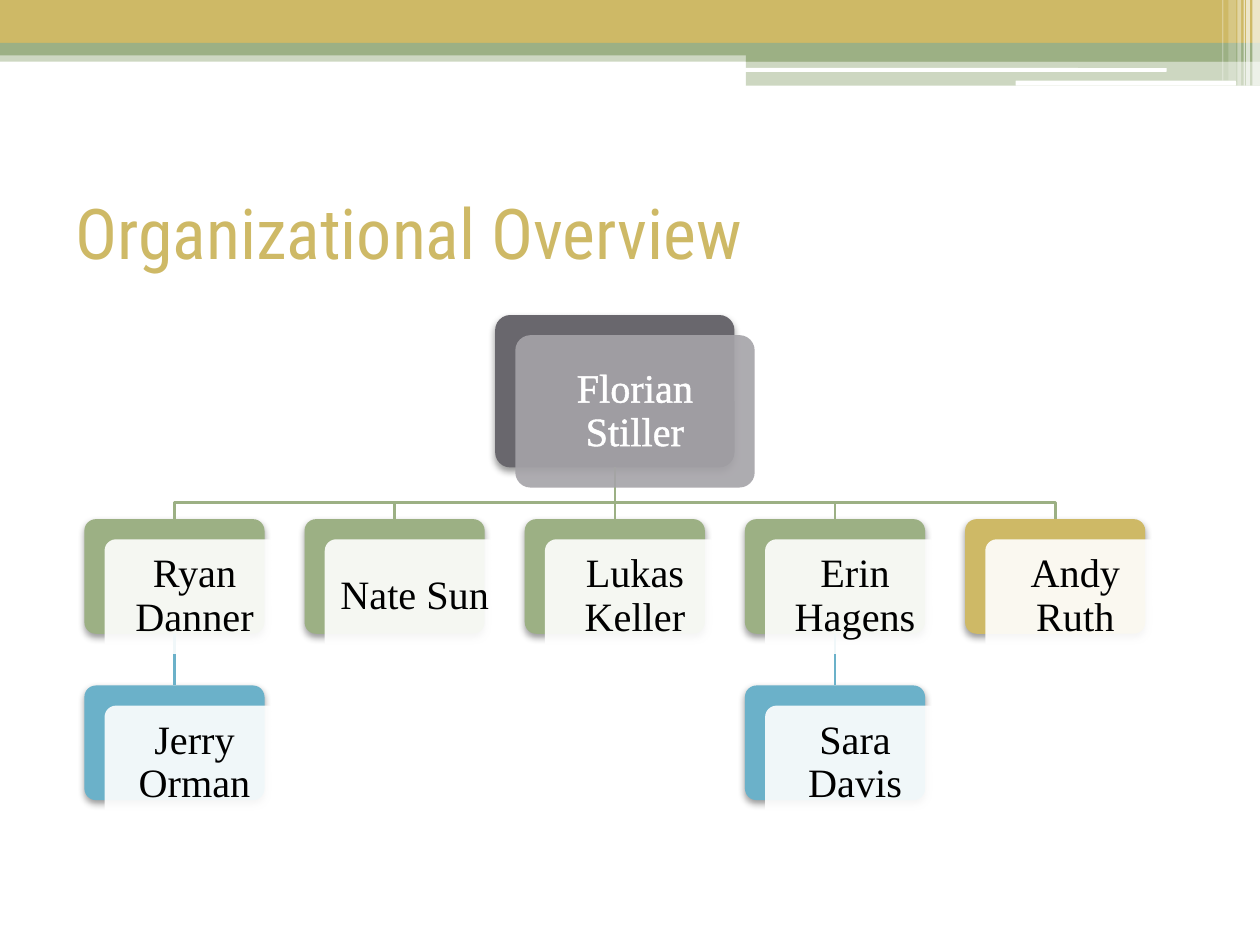
from dataclasses import dataclass

from lxml.etree import SubElement
from pptx import Presentation
from pptx.dml.color import RGBColor
from pptx.enum.shapes import MSO_CONNECTOR, MSO_SHAPE
from pptx.enum.text import MSO_ANCHOR, PP_ALIGN
from pptx.oxml import parse_xml
from pptx.oxml.ns import nsdecls, qn
from pptx.util import Inches, Pt


@dataclass(frozen=True)
class Theme:
    gold: str = "CEB966"
    green: str = "9CB084"
    blue: str = "6BB1C9"
    charcoal: str = "69676D"
    grey: str = "A5A3A8"
    white: str = "FFFFFF"
    black: str = "000000"
    title_font: str = "Roboto Condensed"
    name_font: str = "Times New Roman"
    title_size: int = 40
    name_size: int = 23
    name_outline: float = 1.45
    line_width: float = 1.5


@dataclass(frozen=True)
class Box:
    left: float
    top: float
    width: float
    height: float

    def lengths(self):
        return [Inches(side) for side in (self.left, self.top, self.width, self.height)]


@dataclass(frozen=True)
class Member:
    name: str
    color: str
    report: str = ""


THEME = Theme()
CARD_WIDTH, CARD_HEIGHT = 1.43, 0.91
LEAD_WIDTH, LEAD_HEIGHT = 1.9, 1.21
OFFSET = 0.16
ROW_TOPS = (1.62, 2.94)
BEND = 0.28
LEADER = "Florian Stiller"
TEAM = [
    Member("Ryan Danner", THEME.green, "Jerry Orman"),
    Member("Nate Sun", THEME.green),
    Member("Lukas Keller", THEME.green),
    Member("Erin Hagens", THEME.green, "Sara Davis"),
    Member("Andy Ruth", THEME.gold),
]


def color_of(value):
    return RGBColor.from_string(value)


def add_block(page, box, color, opacity=100, preset=MSO_SHAPE.RECTANGLE):
    block = page.shapes.add_shape(preset, *box.lengths())
    block.shadow.inherit = False
    block.fill.solid()
    block.fill.fore_color.rgb = color_of(color)
    block.line.fill.background()
    if opacity < 100:
        fill_color = block.fill._xPr.find(qn("a:solidFill"))[0]
        SubElement(fill_color, qn("a:alpha"), val=str(opacity * 1000))
    return block


def add_header(page, box):
    left, top, width = box.left, box.top, box.width
    right = left + width
    step_width = 4.08
    step = right - step_width
    bands = [
        (left, 0.4, width, 0.09, THEME.green, 50),
        (left, 0, width, 0.34, THEME.gold, 100),
        (left, 0.34, width, 0.1, THEME.green, 100),
        (step, 0.39, step_width, 0.1, THEME.green, 100),
        (step, 0.48, step_width, 0.2, THEME.green, 50),
    ]
    for x, y, band_width, band_height, color, opacity in bands:
        add_block(page, Box(x, top + y, band_width, band_height), color, opacity)
    for x, y, bar_width, bar_height in [(5.91, 0.54, 3.35, 0.03), (8.06, 0.64, 1.75, 0.04)]:
        bar = Box(left + x, top + y, bar_width, bar_height)
        add_block(page, bar, THEME.white, preset=MSO_SHAPE.ROUNDED_RECTANGLE)
    stripes = [
        (9.94, 0.06, 0.68, 65),
        (9.89, 0.03, 0.68, 65),
        (9.87, 0.01, 0.68, 60),
        (9.82, 0.03, 0.68, 40),
        (9.75, 0.06, 0.64, 20),
        (9.7, 0.01, 0.64, 30),
    ]
    for x, stripe_width, stripe_height, opacity in stripes:
        add_block(page, Box(left + x, top, stripe_width, stripe_height), THEME.white, opacity)


def add_run(para, text, font, size, color):
    span = para.add_run()
    span.text = text
    span.font.name = font
    span.font.size = Pt(size)
    span.font.color.rgb = color_of(color)
    return span


def add_title(page, box, text):
    title = page.shapes.title
    title.left, title.top, title.width, title.height = box.lengths()
    title.text_frame.vertical_anchor = MSO_ANCHOR.MIDDLE
    para = title.text_frame.paragraphs[0]
    para.alignment = PP_ALIGN.LEFT
    add_run(para, text, THEME.title_font, THEME.title_size, THEME.title_color if hasattr(THEME, "title_color") else THEME.gold)


def add_back_card(page, box, color):
    card = add_block(page, box, color, preset=MSO_SHAPE.ROUNDED_RECTANGLE)
    card.adjustments[0] = 0.1
    effects = card._element.spPr.find(qn("a:effectLst"))
    shadow = SubElement(effects, qn("a:outerShdw"), blurRad=str(Pt(4.1)), dist=str(Pt(2)),
                        dir="5400000", rotWithShape="0")
    shade = SubElement(shadow, qn("a:srgbClr"), val=THEME.black)
    SubElement(shade, qn("a:alpha"), val="40000")
    return card


def add_front_card(page, back_box, name, fill, text_color, outlined=False):
    box = Box(back_box.left + OFFSET, back_box.top + OFFSET, back_box.width, back_box.height)
    card = add_block(page, box, fill, 90, MSO_SHAPE.ROUNDED_RECTANGLE)
    card.adjustments[0] = 0.1
    frame = card.text_frame
    frame.word_wrap = True
    frame.vertical_anchor = MSO_ANCHOR.MIDDLE
    frame.margin_left = frame.margin_right = Inches(0.09)
    frame.margin_top = frame.margin_bottom = Inches(0.1)
    para = frame.paragraphs[0]
    para.alignment = PP_ALIGN.CENTER
    para.line_spacing = 0.9
    span = add_run(para, name, THEME.name_font, THEME.name_size, text_color)
    if outlined:
        outline = parse_xml(
            f'<a:ln {nsdecls("a")} w="{Pt(THEME.name_outline)}"><a:solidFill>'
            f'<a:srgbClr val="{text_color}"/></a:solidFill></a:ln>')
        span.font._element.insert(0, outline)


def style_line(line, color):
    line.color.rgb = color_of(color)
    line.width = Pt(THEME.line_width)


def join_straight(page, upper, lower, color):
    link = page.shapes.add_connector(MSO_CONNECTOR.STRAIGHT, 0, 0, 0, 0)
    link.begin_connect(upper, 2)
    link.end_connect(lower, 0)
    SubElement(link._element.spPr, qn("a:effectLst"))
    style_line(link.line, color)


def join_bent(page, upper, lower, color):
    start_x, start_y = upper.left + upper.width // 2, upper.top + upper.height
    end_x = lower.left + lower.width // 2
    bend_y = start_y + Inches(BEND)
    builder = page.shapes.build_freeform(start_x, start_y)
    builder.add_line_segments([(start_x, bend_y), (end_x, bend_y), (end_x, lower.top)], close=False)
    link = builder.convert_to_shape()
    link.shadow.inherit = False
    link.fill.background()
    style_line(link.line, color)


def add_organization(page, box):
    pitch = (box.width - OFFSET - CARD_WIDTH) / (len(TEAM) - 1)
    lead_left = box.left + (box.width - OFFSET - LEAD_WIDTH) / 2
    lead_box = Box(lead_left, box.top, LEAD_WIDTH, LEAD_HEIGHT)
    lead = add_back_card(page, lead_box, THEME.charcoal)
    fronts = []
    for column, member in enumerate(TEAM):
        left = box.left + column * pitch
        member_box, report_box = [
            Box(left, box.top + row_top, CARD_WIDTH, CARD_HEIGHT) for row_top in ROW_TOPS]
        card = add_back_card(page, member_box, member.color)
        fronts.append((member_box, member.name))
        join = join_straight if column == len(TEAM) // 2 else join_bent
        join(page, lead, card, THEME.green)
        if member.report:
            report = add_back_card(page, report_box, THEME.blue)
            fronts.append((report_box, member.report))
            join_straight(page, card, report, THEME.blue)
    add_front_card(page, lead_box, LEADER, THEME.grey, THEME.white, outlined=True)
    for card_box, name in fronts:
        add_front_card(page, card_box, name, THEME.white, THEME.black)


def main():
    deck = Presentation()
    deck.slide_width, deck.slide_height = Inches(10), Inches(7.5)
    page = deck.slides.add_slide(deck.slide_layouts[5])
    add_header(page, Box(0, 0, 10, 0.68))
    add_title(page, Box(0.5, 1.25, 9, 1.17), "Organizational Overview")
    add_organization(page, Box(0.67, 2.5, 8.58, 4.01))
    deck.save("out.pptx")


if __name__ == "__main__":
    main()
